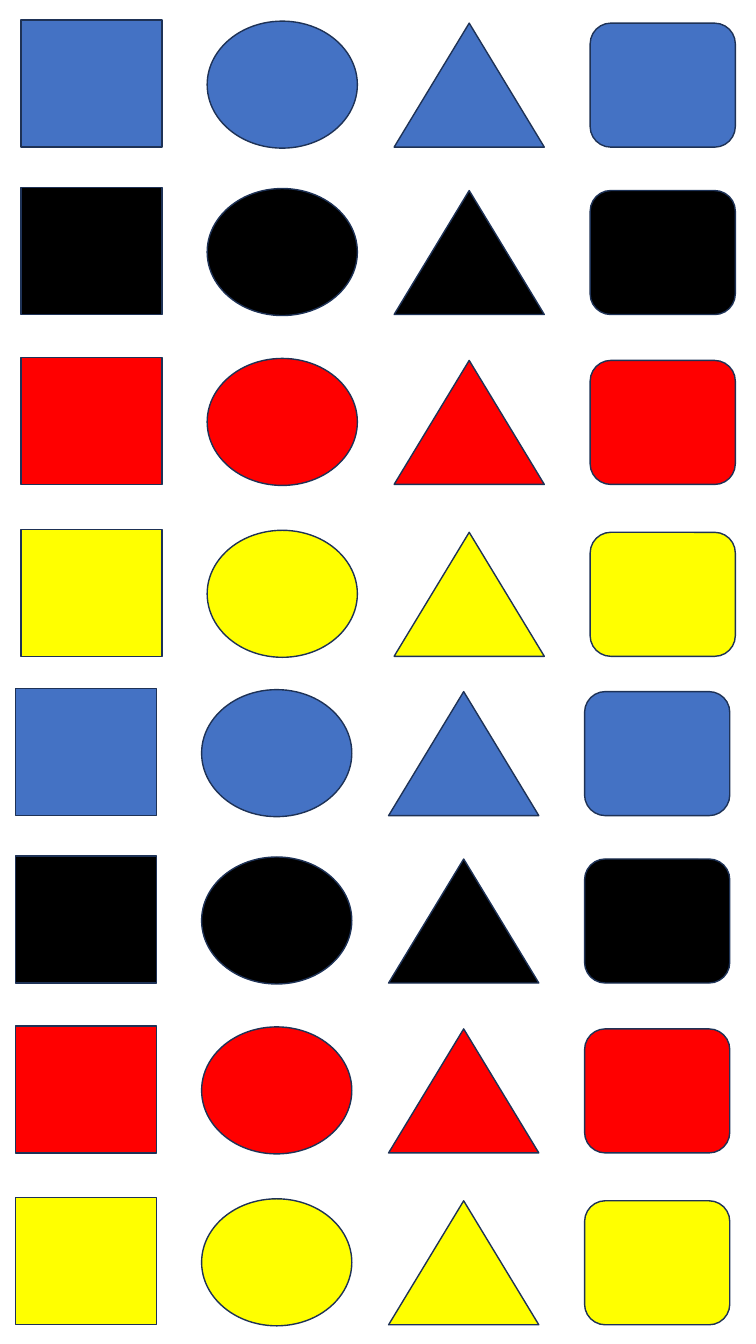
from dataclasses import dataclass
from typing import NamedTuple

from pptx import Presentation
from pptx.dml.color import RGBColor
from pptx.enum.shapes import MSO_SHAPE
from pptx.util import Inches, Pt

# The slide is a fine grid of 750 columns by 1333 rows.
COLUMNS, ROWS = 750, 1333
CELL = Inches(0.01)


@dataclass(frozen=True)
class Theme:
    blue: str = "4472C4"
    black: str = "000000"
    red: str = "FF0000"
    yellow: str = "FFFF00"
    outline: str = "1E3256"
    outline_width: float = 1


class Box(NamedTuple):
    left: float
    top: float
    width: float
    height: float

    def inside(self, part):
        """Place a part, given relative to this box, on the slide's grid."""
        return Box(self.left + part.left, self.top + part.top, part.width, part.height)


THEME = Theme()

# Each kind of shape with its place in a row.
ROW_SHAPES = {
    MSO_SHAPE.RECTANGLE: Box(0, 0, 140, 126),
    MSO_SHAPE.OVAL: Box(184.5, 1, 149, 126),
    MSO_SHAPE.ISOSCELES_TRIANGLE: Box(370, 3, 149, 123),
    MSO_SHAPE.ROUNDED_RECTANGLE: Box(564.5, 3, 144, 123),
}

# Each row's colour with its distance from the top of the block.
BLOCK_ROWS = {THEME.blue: 0, THEME.black: 166, THEME.red: 334.5, THEME.yellow: 505}
ROW_WIDTH, ROW_HEIGHT, BLOCK_HEIGHT = 708.5, 127, 632

BLOCKS = [
    Box(21, 20, ROW_WIDTH, BLOCK_HEIGHT),
    Box(15.5, 683, ROW_WIDTH, BLOCK_HEIGHT),
]


def add_figure(slide, kind, box, fill):
    shape = slide.shapes.add_shape(kind, *(round(length * CELL) for length in box))
    shape.shadow.inherit = False
    shape.fill.solid()
    shape.fill.fore_color.rgb = RGBColor.from_string(fill)
    shape.line.color.rgb = RGBColor.from_string(THEME.outline)
    shape.line.width = Pt(THEME.outline_width)


def add_row(slide, box, fill):
    for kind, part in ROW_SHAPES.items():
        add_figure(slide, kind, box.inside(part), fill)


def add_block(slide, box):
    """Add one row of shapes for each colour."""
    for fill, top in BLOCK_ROWS.items():
        add_row(slide, box.inside(Box(0, top, box.width, ROW_HEIGHT)), fill)


def main():
    presentation = Presentation()
    presentation.slide_width = COLUMNS * CELL
    presentation.slide_height = ROWS * CELL
    slide = presentation.slides.add_slide(presentation.slide_layouts[6])
    for block in BLOCKS:
        add_block(slide, block)
    presentation.save("out.pptx")


if __name__ == "__main__":
    main()
